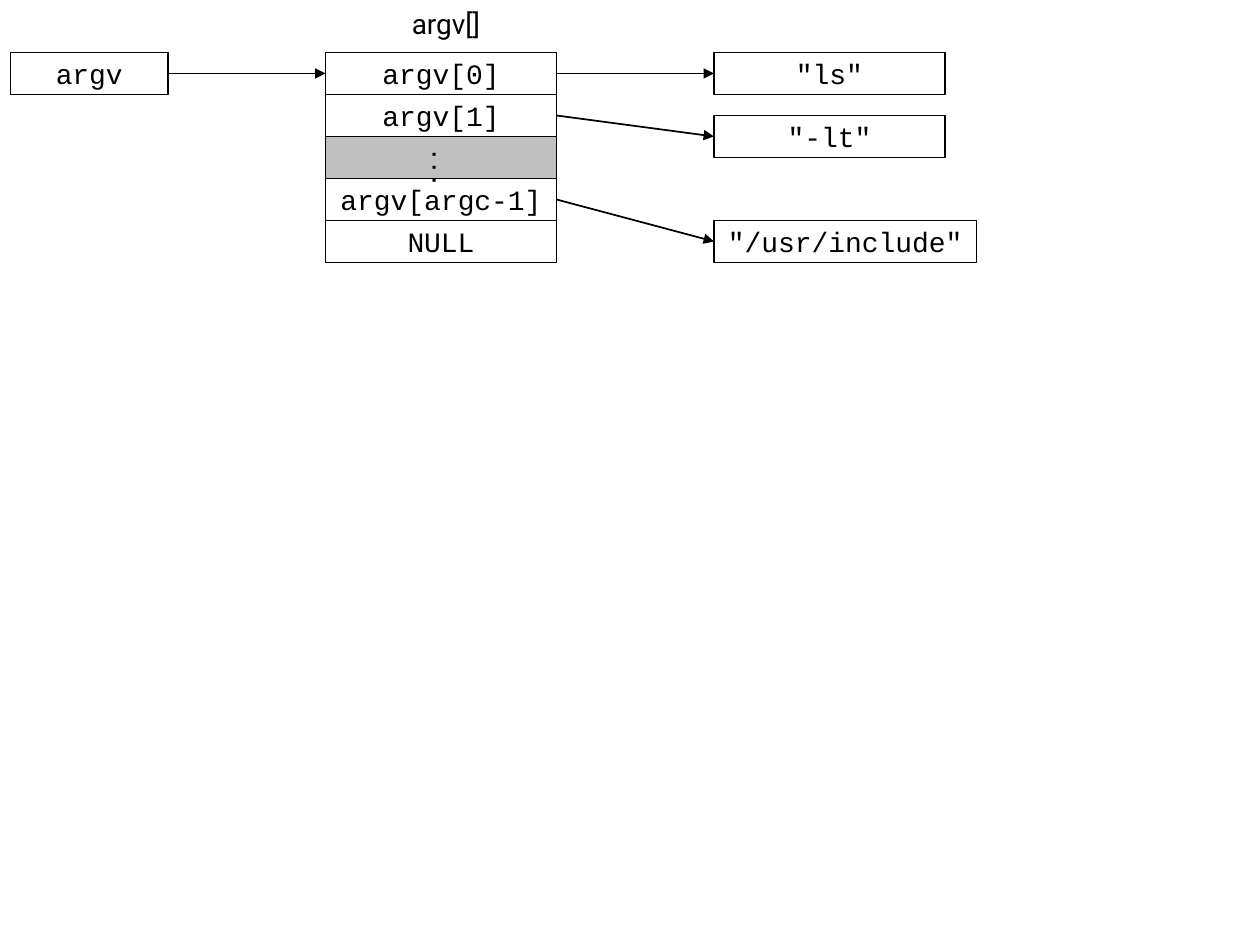
from dataclasses import dataclass

from lxml import etree
from pptx import Presentation
from pptx.dml.color import RGBColor
from pptx.enum import shapes, text
from pptx.oxml import ns
from pptx.util import Inches, Pt


@dataclass(frozen=True)
class Theme:
    ink: RGBColor = RGBColor(0, 0, 0)
    gap_fill: RGBColor = RGBColor(0xC0, 0xC0, 0xC0)
    code_font: str = "Courier New"
    label_font: str = "Roboto"
    body: Pt = Pt(16)
    dots: Pt = Pt(12)
    line: Pt = Pt(1)


THEME = Theme()
UNIT = Inches(1) / 12  # drawing grid: twelve steps to the inch
CELL_HEIGHT = 4


def grid(steps):
    return round(steps * UNIT)


def write(shape, words, font, size=THEME.body, bold=None):
    frame = shape.text_frame
    frame.word_wrap = False
    frame.vertical_anchor = text.MSO_ANCHOR.MIDDLE
    para = frame.paragraphs[0]
    para.alignment = text.PP_ALIGN.CENTER
    span = para.add_run()
    span.text = words
    span.font.name, span.font.size, span.font.bold = font, size, bold
    span.font.color.rgb = THEME.ink


def add_cell(page, left, top, width):
    """Empty outlined memory cell, placed in grid steps."""
    box = page.shapes.add_shape(
        shapes.MSO_SHAPE.RECTANGLE,
        grid(left), grid(top), grid(width), grid(CELL_HEIGHT))
    box.shadow.inherit = False
    box.fill.background()
    box.line.color.rgb = THEME.ink
    box.line.width = THEME.line
    return box


def add_text_cell(page, left, top, width, words):
    box = add_cell(page, left, top, width)
    write(box, words, THEME.code_font)
    return box


def add_gap_cell(page, left, top, width):
    """Shaded cell with vertical dots for the omitted entries."""
    box = add_cell(page, left, top, width)
    box.fill.solid()
    box.fill.fore_color.rgb = THEME.gap_fill
    write(box, "...", THEME.code_font, THEME.dots, True)
    box.text_frame._txBody.bodyPr.set("vert", "eaVert")
    return box


def add_arrow(page, source, target):
    """Pointer from the right side of one cell to the left side of another."""
    arrow = page.shapes.add_connector(
        shapes.MSO_CONNECTOR.STRAIGHT,
        source.left + source.width, source.top + source.height // 2,
        target.left, target.top + target.height // 2)
    arrow.line.color.rgb = THEME.ink
    arrow.line.width = THEME.line
    etree.SubElement(arrow.line._get_or_add_ln(), ns.qn("a:tailEnd"), type="triangle")
    etree.SubElement(arrow._element.spPr, ns.qn("a:effectLst"))


def add_array(page, left, top, width, entries):
    """Stack of cells; None stands for the omitted entries."""
    cells = []
    for row, words in enumerate(entries):
        place = (page, left, top + row * CELL_HEIGHT, width)
        cells.append(add_text_cell(*place, words) if words else add_gap_cell(*place))
    return cells


def add_array_label(page, array_left, array_width, words):
    width, height = Inches(0.76), Inches(0.37)
    center = grid(array_left + array_width / 2)
    box = page.shapes.add_textbox(center - width // 2 + Inches(0.04), 0, width, height)
    write(box, words, THEME.label_font)
    box.text_frame.auto_size = text.MSO_AUTO_SIZE.SHAPE_TO_FIT_TEXT


def add_argv_diagram(page, left, top):
    array_left, array_width = left + 30, 22
    string_left = left + 67

    # Pointer variable and the array it points to
    pointer = add_text_cell(page, left, top, 15, "argv")
    add_array_label(page, array_left, array_width, "argv[]")
    array = add_array(page, array_left, top, array_width,
                      ["argv[0]", "argv[1]", None, "argv[argc-1]", "NULL"])
    add_arrow(page, pointer, array[0])

    # Strings: array row, offset from the top, width, text
    for row, offset, width, words in [
        (0, 0, 22, '"ls"'),
        (1, 6, 22, '"-lt"'),
        (3, 16, 25, '"/usr/include"'),
    ]:
        string = add_text_cell(page, string_left, top + offset, width, words)
        add_arrow(page, array[row], string)


def main():
    deck = Presentation()
    deck.slide_width, deck.slide_height = Inches(10), Inches(7.5)
    page = deck.slides.add_slide(deck.slide_layouts[6])
    add_argv_diagram(page, left=1, top=5)
    deck.save("out.pptx")


if __name__ == "__main__":
    main()
